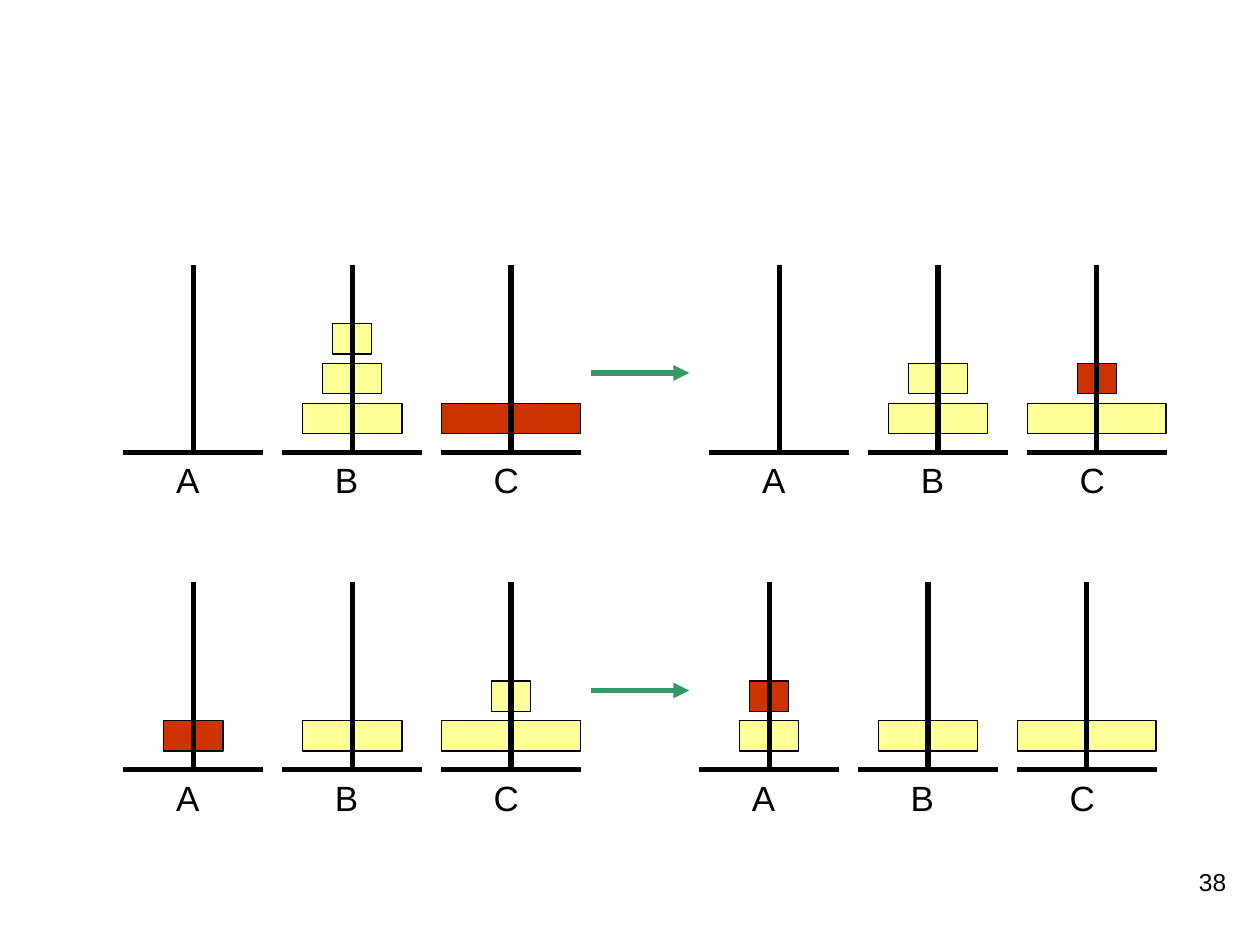
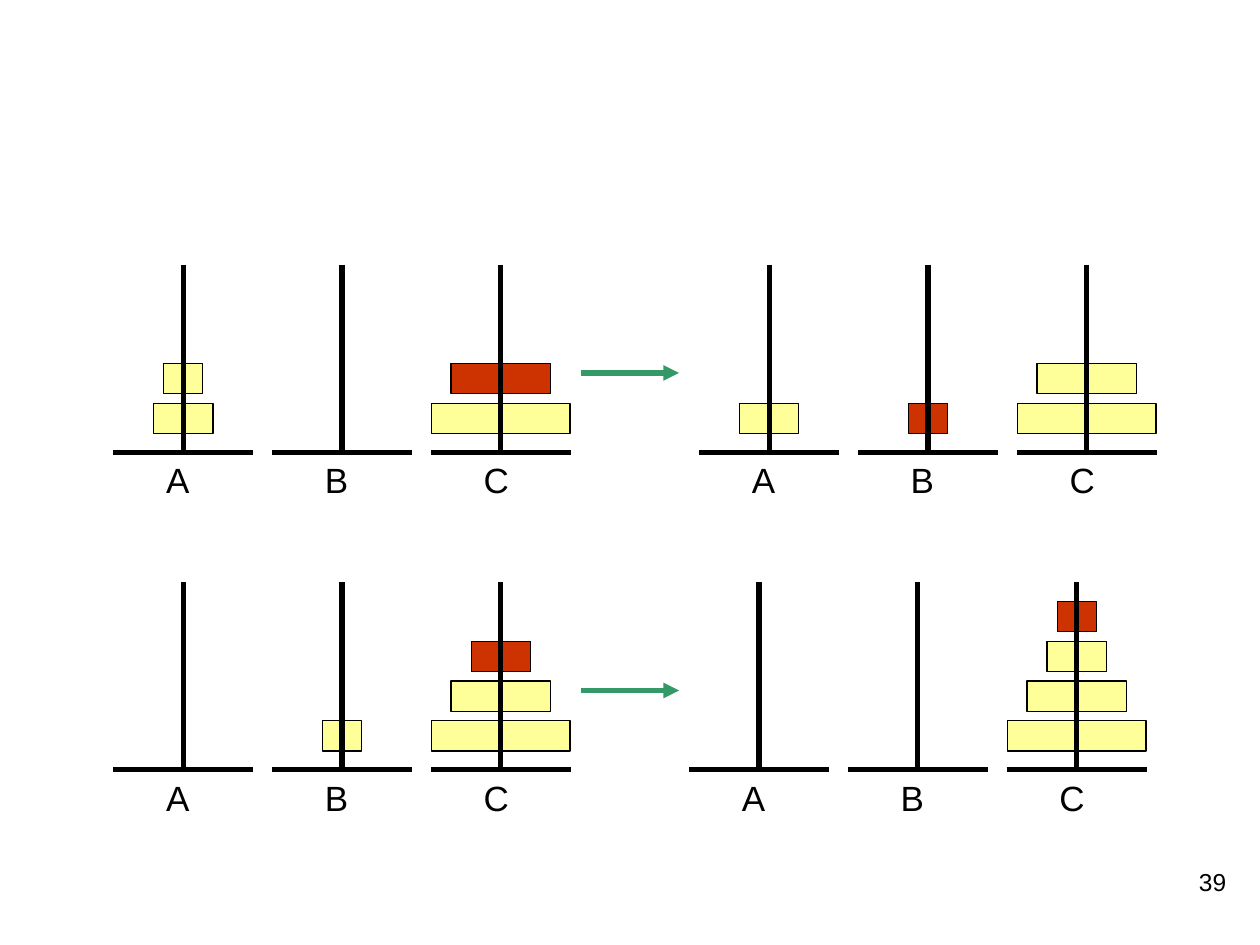
from dataclasses import dataclass
from lxml.etree import SubElement
from pptx import Presentation
from pptx.dml.color import RGBColor
from pptx.enum.shapes import MSO_CONNECTOR as Connector, MSO_SHAPE as Shape
from pptx.enum.text import MSO_ANCHOR as Anchor, MSO_AUTO_SIZE as AutoSize, PP_ALIGN as Align
from pptx.oxml.ns import qn
from pptx.util import Inches, Pt

COLORS = {"ink": "000000", "disk": "FFFF99", "moved": "CC3300", "arrow": "339966"}
FONT = "Arial"
DISK_WIDTHS = {1: 0.31, 2: 0.47, 3: 0.79, 4: 1.1}
DISK_HEIGHT = 0.24
DISK_STEP = 0.315
BOTTOM_DISK_RISE = 0.39
PEG_NAMES = "ABC"
PEG_PITCH = 1.26
BASE_WIDTH = 1.11
PANEL_WIDTH = 2 * PEG_PITCH + BASE_WIDTH
ROD_HEIGHT = 1.49
ROW_TOPS = (2.1, 4.62)
LABEL_SIZE = (0.47, 0.44)


@dataclass
class Box:
    left: float
    top: float
    width: float
    height: float

    def lengths(self):
        return [Inches(v) for v in (self.left, self.top, self.width, self.height)]


def rgb(name):
    return RGBColor.from_string(COLORS[name])


def set_all(target, formats):
    for name, value in formats.items():
        setattr(target, name, value)


def add_line(page, start, end, color="ink", arrow=False):
    line = page.shapes.add_connector(
        Connector.STRAIGHT, *[Inches(v) for v in (*start, *end)])
    line.line.color.rgb = rgb(color)
    line.line.width = Pt(3)
    if arrow:
        SubElement(line.line._get_or_add_ln(), qn("a:tailEnd"), type="triangle")
    SubElement(line._element.spPr, qn("a:effectLst"))
    return line


def add_text(page, box, text, size, frame_formats, para_formats):
    holder = page.shapes.add_textbox(*box.lengths())
    frame = holder.text_frame
    set_all(frame, {"word_wrap": True, "vertical_anchor": Anchor.TOP, **frame_formats})
    para = frame.paragraphs[0]
    set_all(para, para_formats)
    span = para.add_run()
    span.text = text
    set_all(span.font, {"name": FONT, "size": Pt(size)})
    span.font.color.rgb = rgb("ink")
    return holder


def add_disk(page, center, top, disk, moved):
    width = DISK_WIDTHS[disk]
    shape = page.shapes.add_shape(
        Shape.RECTANGLE, *Box(center - width / 2, top, width, DISK_HEIGHT).lengths())
    shape.shadow.inherit = False
    shape.fill.solid()
    shape.fill.fore_color.rgb = rgb("moved" if moved else "disk")
    shape.line.color.rgb = rgb("ink")
    shape.line.width = Pt(0.75)


def draw_peg(page, box, name, disks, moved):
    center = box.left + box.width / 2
    floor = box.top + box.height
    for level, disk in enumerate(disks):
        top = floor - BOTTOM_DISK_RISE - level * DISK_STEP
        add_disk(page, center, top, disk, disk == moved)
    label = add_text(
        page, Box(center - LABEL_SIZE[0] / 2, floor, *LABEL_SIZE), name, 20,
        {"auto_size": AutoSize.SHAPE_TO_FIT_TEXT}, {"space_before": Pt(12.5)})
    rod = add_line(page, (center, box.top), (center, floor))
    rod.end_connect(label, 0)
    add_line(page, (box.left, floor), (box.left + box.width, floor))


def draw_towers(page, box, pegs, moved):
    for index, (name, disks) in enumerate(zip(PEG_NAMES, pegs)):
        peg_box = Box(box.left + index * PEG_PITCH, box.top, BASE_WIDTH, box.height)
        draw_peg(page, peg_box, name, disks, moved)


def draw_move(page, box, before, after):
    draw_towers(page, Box(box.left, box.top, PANEL_WIDTH, box.height), *before)
    draw_towers(
        page, Box(box.left + box.width - PANEL_WIDTH, box.top, PANEL_WIDTH, box.height), *after)
    arrow_left, arrow_y = box.left + 3.71, box.top + 0.86
    add_line(page, (arrow_left, arrow_y), (arrow_left + 0.78, arrow_y), "arrow", True)


def draw_page(deck, number, left, moves):
    page = deck.slides.add_slide(deck.slide_layouts[6])
    for top, (width, before, after) in zip(ROW_TOPS, moves):
        draw_move(page, Box(left, top, width, ROD_HEIGHT), before, after)
    add_text(page, Box(7.75, 6.83, 2.08, 0.5), str(number), 14, {},
             {"alignment": Align.RIGHT})


PAGES = [
    (38, 0.98, [
        (8.28, (([], [3, 2, 1], [4]), 4), (([], [3, 2], [4, 1]), 1)),
        (8.2, (([2], [3], [4, 1]), 2), (([2, 1], [3], [4]), 1)),
    ]),
    (39, 0.9, [
        (8.28, (([2, 1], [], [4, 3]), 3), (([2], [1], [4, 3]), 1)),
        (8.2, (([], [1], [4, 3, 2]), 2), (([], [], [4, 3, 2, 1]), 1)),
    ]),
]


def main():
    deck = Presentation()
    set_all(deck, {"slide_width": Inches(10), "slide_height": Inches(7.5)})
    for number, left, moves in PAGES:
        draw_page(deck, number, left, moves)
    deck.save("out.pptx")


if __name__ == "__main__":
    main()
